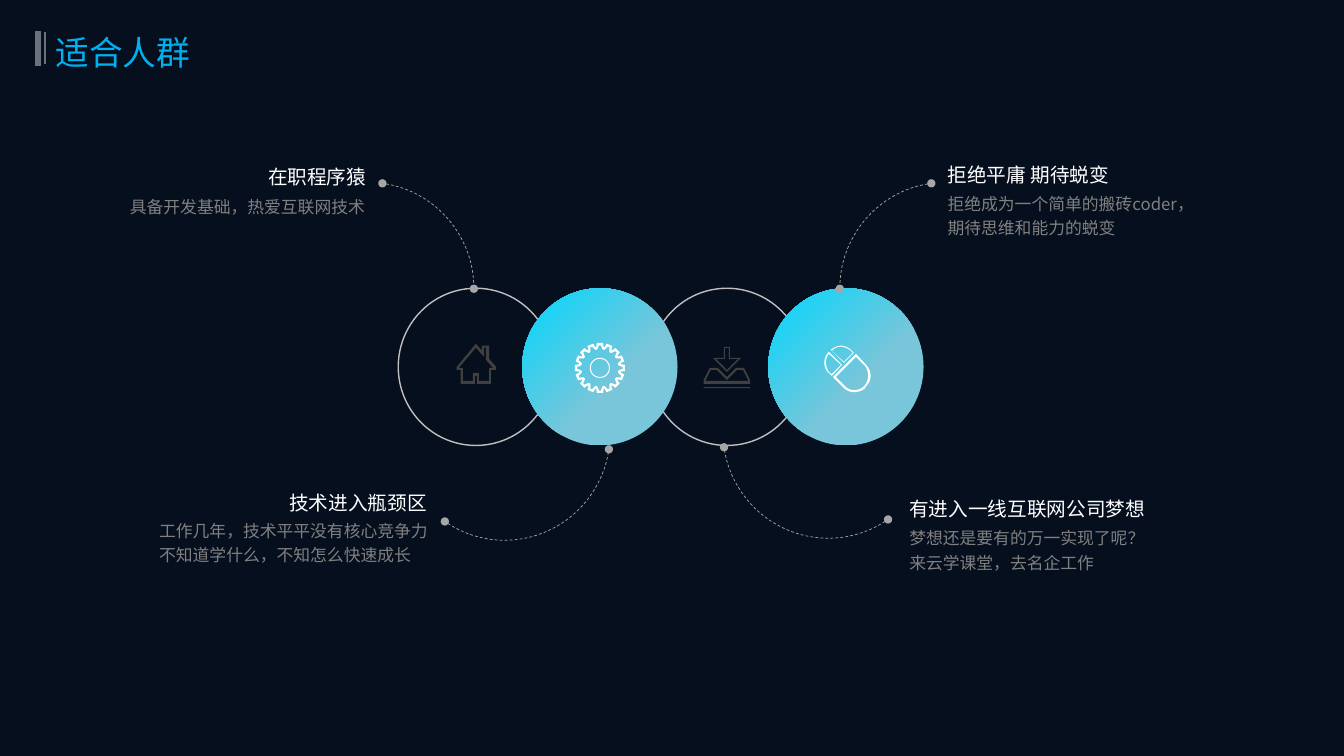
from copy import deepcopy
from math import cos, radians, sin

from lxml.etree import SubElement
from pptx import Presentation
from pptx.dml.color import RGBColor
from pptx.enum.dml import MSO_LINE
from pptx.enum.shapes import MSO_CONNECTOR, MSO_SHAPE
from pptx.enum.text import MSO_ANCHOR, MSO_AUTO_SIZE, PP_ALIGN
from pptx.oxml.ns import qn
from pptx.util import Pt

PX = 9144
FONT = "Noto Sans CJK SC"
WHITE, GREY, ICON = "FFFFFF", "808080", "404040"
CIRCLE_TOP, CIRCLE_W, CIRCLE_H = 286, 154, 156
GEAR_CENTER, GEAR_TEETH = (595, 365), 16

CAPTIONS = [
    ((256, 159, 122), "在职程序猿", (119, 186, 264, 34), ["具备开发基础，热爱互联网技术"]),
    ((277, 482, 169), "技术进入瓶颈区", (148, 508, 292, 58),
     ["工作几年，技术平平没有核心竞争力不知道学什么，不知怎么快速成长"]),
    ((930, 157, 357), "拒绝平庸 期待蜕变", (930, 183, 438, 58),
     ["拒绝成为一个简单的搬砖coder，", "期待思维和能力的蜕变"]),
    ((892, 488, 299), "有进入一线互联网公司梦想", (892, 515, 299, 58),
     ["梦想还是要有的万一实现了呢？", "来云学课堂，去名企工作"]),
]
HOUSE = [
    [(487, 381), (473, 381), (473, 373), (471, 373), (471, 381), (457, 381), (457, 367),
     (453, 367), (453, 364), (472, 341), (478, 348), (478, 343), (485, 343), (485, 356),
     (492, 364), (492, 367), (487, 367)],
    [(475, 378), (485, 378), (485, 365), (489, 365), (482, 357), (482, 345), (480, 345),
     (480, 354), (472, 345), (455, 365), (459, 365), (459, 378), (469, 378), (469, 370),
     (475, 370)],
]
TRAY = [
    [(744, 381), (698, 381), (698, 377), (704, 365), (712, 365), (721, 374), (730, 365),
     (738, 365), (744, 377)],
    [(700, 378), (742, 378), (742, 377), (737, 367), (731, 367), (721, 377), (711, 367),
     (705, 367), (700, 377)],
]
DOWN_ARROW = [
    [(721, 369), (707, 355), (718, 355), (718, 344), (724, 344), (724, 355), (735, 355)],
    [(710, 356), (721, 367), (732, 356), (723, 356), (723, 345), (719, 345), (719, 356)],
]
MOUSE_PARTS = [
    [[(834, 344), (838, 344, 841, 346, 844, 348), (846, 350), (837, 359), (825, 348),
      (828, 345, 831, 344, 834, 344)],
     [(834, 343), (830, 343, 827, 345, 824, 347), (837, 360), (847, 350), (845, 348),
      (842, 345, 838, 343, 834, 343)]],
    [[(849, 354), (858, 363), (860, 366, 861, 369, 861, 373),
      (861, 376, 860, 379, 858, 382), (857, 383), (854, 386, 851, 387, 847, 387),
      (844, 387, 841, 386, 838, 383), (829, 374)],
     [(849, 351), (826, 374), (837, 385), (840, 388, 844, 389, 847, 389),
      (851, 389, 855, 388, 858, 385), (859, 383), (865, 378, 865, 368, 859, 362)]],
    [[(822, 351), (834, 362), (825, 371), (823, 370), (818, 364, 818, 356, 822, 351)],
     [(822, 349), (816, 355, 816, 365, 822, 370), (825, 373), (835, 362)]],
]


def rgb(hex_color):
    """Turn a hex string into a colour."""
    return RGBColor.from_string(hex_color)


def emu(*lengths):
    """Turn px lengths into EMU."""
    return [round(v * PX) for v in lengths]


def add_run(p, text, size, color):
    """Add one formatted run to a paragraph."""
    r = p.add_run()
    r.text = text
    r.font.size = Pt(size)
    r.font.name = FONT
    r.font.color.rgb = rgb(color)
    SubElement(r._r.get_or_add_rPr(), qn("a:ea")).set("typeface", FONT)


def add_text(s, box, lines, size, color, spacing=1.0):
    """Add a wrapping text box with one paragraph per line."""
    tf = s.shapes.add_textbox(*emu(*box)).text_frame
    tf.word_wrap = True
    tf.auto_size = MSO_AUTO_SIZE.SHAPE_TO_FIT_TEXT
    for i, line in enumerate(lines):
        p = tf.add_paragraph() if i else tf.paragraphs[0]
        p.line_spacing = spacing
        add_run(p, line, size, color)


def set_title(s, text):
    """Place and fill the title placeholder."""
    sp = s.shapes.title
    sp.left, sp.top, sp.width, sp.height = emu(45, 22, 603, 59)
    tf = sp.text_frame
    tf.auto_size = MSO_AUTO_SIZE.NONE
    tf.vertical_anchor = MSO_ANCHOR.MIDDLE
    p = tf.paragraphs[0]
    p.alignment = PP_ALIGN.LEFT
    add_run(p, text, 24, "00B0F0")


def add_bar(s, x, top, bottom, width):
    """Add a vertical bar beside the title."""
    line = s.shapes.add_connector(MSO_CONNECTOR.STRAIGHT, *emu(x, top, x, bottom))
    line.line.color.rgb = rgb("6A727E")
    line.line.width = Pt(width)
    SubElement(line._element.spPr, qn("a:effectLst"))


def add_preset(s, kind, box):
    """Add a preset shape without shadow, fill or line."""
    sp = s.shapes.add_shape(kind, *emu(*box))
    sp.shadow.inherit = False
    sp.fill.background()
    sp.line.fill.background()
    return sp


def add_ring(s, left):
    """Add an outlined circle."""
    sp = add_preset(s, MSO_SHAPE.OVAL, (left, CIRCLE_TOP, CIRCLE_W, CIRCLE_H))
    sp.line.color.rgb = rgb("BFBFBF")
    sp.line.width = Pt(1)


def add_disc(s, left):
    """Add a circle with a three-stop gradient."""
    sp = add_preset(s, MSO_SHAPE.OVAL, (left, CIRCLE_TOP, CIRCLE_W, CIRCLE_H))
    sp.fill.gradient()
    sp.fill.gradient_angle = 135
    gs = sp._element.spPr.find(".//" + qn("a:gs"))
    gs.addnext(deepcopy(gs))
    stops = [(0, "79C5D9"), (0.4, "79C5D9"), (1, "00D7FE")]
    for stop, (position, color) in zip(sp.fill.gradient_stops, stops):
        stop.position = position
        stop.color.rgb = rgb(color)


def add_arc(s, left, top, start, end, flips=()):
    """Add a dashed arc with a dot at each end."""
    sp = add_preset(s, MSO_SHAPE.ARC, (left, top, 209, 211))
    sp.adjustments[0], sp.adjustments[1] = start, end
    for flip in flips:
        sp._element.spPr.xfrm.set(flip, "1")
    sp.line.color.rgb = rgb("A6A6A6")
    sp.line.width = Pt(0.5)
    sp.line.dash_style = MSO_LINE.DASH
    for tag in ("a:headEnd", "a:tailEnd"):
        SubElement(sp.line._get_or_add_ln(), qn(tag)).set("type", "oval")


def flatten(contour):
    """Turn points and cubic curves into a list of points."""
    points = []
    for seg in contour:
        if len(seg) == 2:
            points.append(seg)
            continue
        (x0, y0), (x1, y1, x2, y2, x3, y3) = points[-1], seg
        for t in (i / 8 for i in range(1, 9)):
            a, b, c, d = (1 - t) ** 3, 3 * t * (1 - t) ** 2, 3 * t * t * (1 - t), t ** 3
            points.append((a * x0 + b * x1 + c * x2 + d * x3, a * y0 + b * y1 + c * y2 + d * y3))
    return points


def add_icon(s, contours, color):
    """Add a filled outline made of several closed contours."""
    paths = [[emu(*pt) for pt in flatten(c)] for c in contours]
    builder = s.shapes.build_freeform(*paths[0][0])
    for i, points in enumerate(paths):
        if i:
            builder.move_to(*points[0])
        builder.add_line_segments(points[1:], close=True)
    sp = builder.convert_to_shape()
    sp.shadow.inherit = False
    sp.fill.solid()
    sp.fill.fore_color.rgb = rgb(color)
    sp.line.fill.background()


def polar(corners, repeats):
    """Repeat (radius, angle) corners evenly around the gear centre."""
    cx, cy = GEAR_CENTER
    turns = [(r, radians(a + 360 * i / repeats)) for i in range(repeats) for r, a in corners]
    return [(cx + r * cos(a), cy + r * sin(a)) for r, a in turns]


def main():
    """Build the slide."""
    prs = Presentation()
    prs.slide_width, prs.slide_height = emu(1333, 750)
    s = prs.slides.add_slide(prs.slide_layouts[5])
    s.background.fill.solid()
    s.background.fill.fore_color.rgb = rgb("060F1E")
    add_bar(s, 38, 31, 65, 4.5)
    add_bar(s, 45, 32, 64, 1.5)
    set_title(s, "适合人群")
    for (x, y, w), heading, box, lines in CAPTIONS:
        add_text(s, (x, y, w, 34), [heading], 14, WHITE)
        add_text(s, box, lines, 12, GREY, 1.2)
    add_ring(s, 395)
    add_icon(s, HOUSE, ICON)
    add_ring(s, 644)
    add_icon(s, TRAY, ICON)
    underline = add_preset(s, MSO_SHAPE.RECTANGLE, (698, 384, 46, 1))
    underline.fill.solid()
    underline.fill.fore_color.rgb = rgb(ICON)
    add_icon(s, DOWN_ARROW, ICON)
    add_arc(s, 261, 181, 166.5, 0)
    add_arc(s, 717, 323, 141.41, 210.96, ("flipH", "flipV"))
    add_arc(s, 396, 325, 141.41, 210.96, ("flipV",))
    add_disc(s, 518)
    outer = polar([(25, -7), (25, 7), (21, 10), (21, 12.5)], GEAR_TEETH)
    inner = polar([(22.5, -2.5), (22.5, 2.5), (18.5, 8), (18.5, 14.5)], GEAR_TEETH)
    add_icon(s, [outer, inner], WHITE)
    add_icon(s, [polar([(10, 0)], 48), polar([(9, 0)], 48)], WHITE)
    add_disc(s, 762)
    for part in MOUSE_PARTS:
        add_icon(s, part, WHITE)
    add_arc(s, 833, 181, 166.5, 0, ("flipH",))
    prs.save("out.pptx")


if __name__ == "__main__":
    main()
